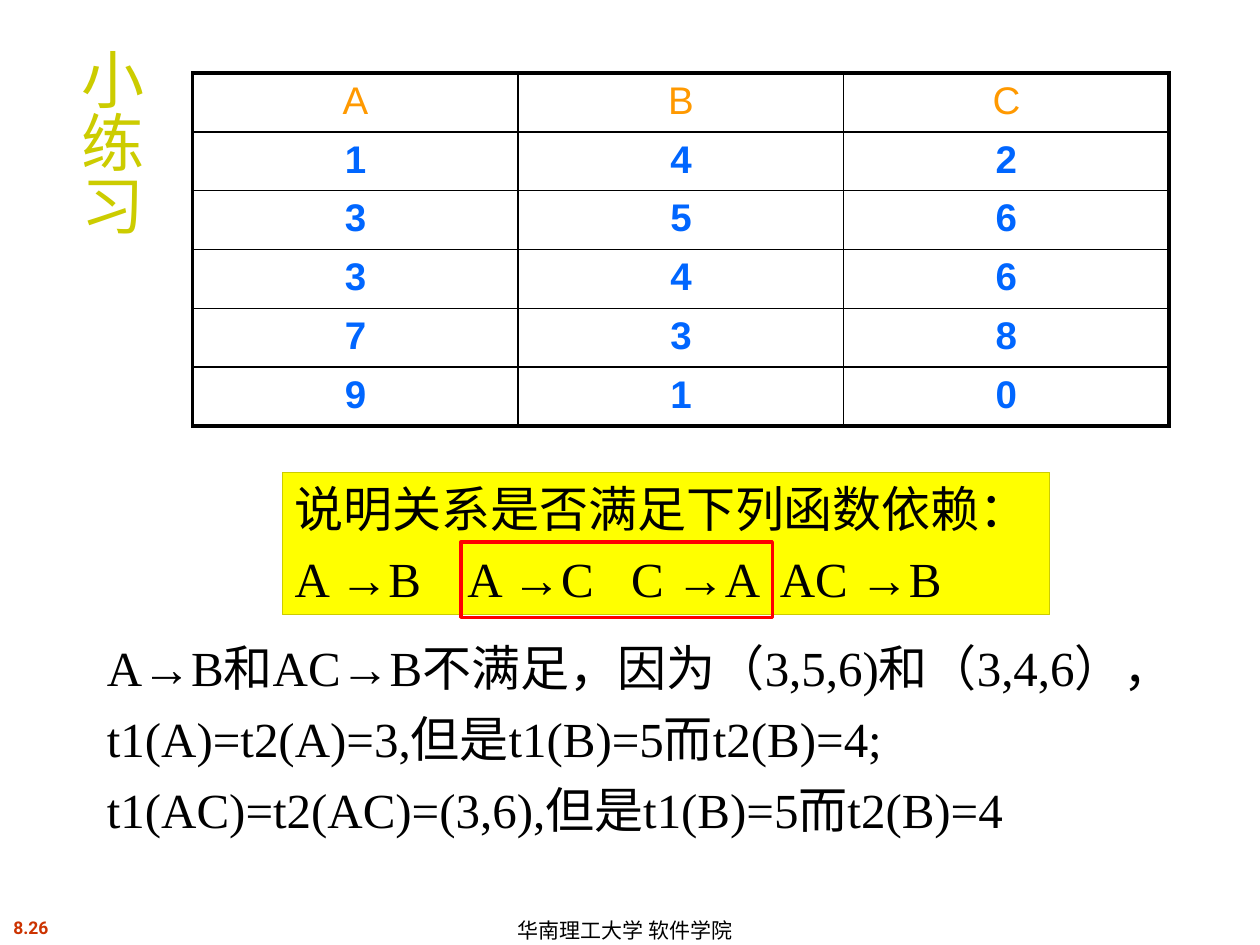
from pptx import Presentation
from pptx.dml.color import RGBColor
from pptx.enum.shapes import MSO_SHAPE
from pptx.enum.text import MSO_ANCHOR, PP_ALIGN
from pptx.oxml.ns import qn
from pptx.util import Inches, Pt
from lxml.etree import SubElement

BLACK = RGBColor(0x00, 0x00, 0x00)
ORANGE = RGBColor(0xFF, 0x99, 0x00)
BLUE = RGBColor(0x00, 0x66, 0xFF)
YELLOW = RGBColor(0xFF, 0xFF, 0x00)
OLIVE = RGBColor(0xCC, 0xCC, 0x00)
RED = RGBColor(0xFF, 0x00, 0x00)
BRICK = RGBColor(0xCC, 0x33, 0x00)

RELATION = ["ABC", "142", "356", "346", "738", "910"]


def style(p, size, name, color, bold=False):
    p.font.size, p.font.name, p.font.bold = Pt(size), name, bold
    p.font.color.rgb = color


def add_text(s, box, text, size, name, color, bold=False, wrap=True):
    tf = s.shapes.add_textbox(*map(Inches, box)).text_frame
    tf.word_wrap = wrap
    tf.text = text
    style(tf.paragraphs[0], size, name, color, bold)
    return tf


def add_rect(s, box, line, width):
    sp = s.shapes.add_shape(MSO_SHAPE.RECTANGLE, *map(Inches, box))
    sp.shadow.inherit = False
    sp.fill.background()
    sp.line.color.rgb = line
    sp.line.width = Pt(width)
    return sp


def add_border(cell, side, width):
    ln = SubElement(cell._tc.get_or_add_tcPr(), qn(f"a:{side}"), w=str(Pt(width)))
    fill = SubElement(ln, qn("a:solidFill"))
    SubElement(fill, qn("a:srgbClr"), val=str(BLACK))


def add_relation(s, box):
    rows, cols = len(RELATION), len(RELATION[0])
    table = s.shapes.add_table(rows, cols, *map(Inches, box)).table
    table.first_row = table.horz_banding = False
    for i, values in enumerate(RELATION):
        for j, value in enumerate(values):
            cell = table.cell(i, j)
            cell.text = value
            p = cell.text_frame.paragraphs[0]
            p.alignment = PP_ALIGN.CENTER
            style(p, 22, "Arial", BLUE if i else ORANGE, bold=i > 0)
            outer = {"lnL": j == 0, "lnR": j == cols - 1,
                     "lnT": i == 0, "lnB": i == rows - 1}
            for side, edge in outer.items():
                add_border(cell, side, 2.25 if edge else 1)
            cell.fill.background()


def add_question(s, box):
    sp = add_rect(s, box, OLIVE, 0.75)
    sp.fill.solid()
    sp.fill.fore_color.rgb = YELLOW
    tf = sp.text_frame
    tf.vertical_anchor = MSO_ANCHOR.TOP
    tf.text = "说明关系是否满足下列函数依赖：\nA →B\tA →C\tC →A\tAC →B"
    tabs = SubElement(tf.paragraphs[1]._p.get_or_add_pPr(), qn("a:tabLst"))
    for pos in (1.37, 2.67, 3.85):
        SubElement(tabs, qn("a:tab"), pos=str(Inches(pos)), algn="l")
    for p in tf.paragraphs:
        p.alignment = PP_ALIGN.LEFT
        style(p, 28, "Times New Roman", BLACK)
    tf.paragraphs[1].space_before = Pt(6)


def add_answer(s, box):
    tf = add_text(s, box,
                  "A→B和AC→B不满足，因为（3,5,6)和（3,4,6），"
                  "t1(A)=t2(A)=3,但是t1(B)=5而t2(B)=4; "
                  "t1(AC)=t2(AC)=(3,6),但是t1(B)=5而t2(B)=4",
                  28, "Times New Roman", BLACK)
    tf.paragraphs[0].line_spacing = 1.2


def add_title(s, box):
    tf = add_text(s, box, "小练习", 36, "Roboto", OLIVE)
    tf._txBody.bodyPr.set("vert", "eaVert")


def add_footer(s, number_box, school_box):
    number = add_text(s, number_box, "8.26", 10, "Roboto", BRICK, bold=True, wrap=False)
    number.paragraphs[0].alignment = PP_ALIGN.CENTER
    school = add_text(s, school_box, "华南理工大学 软件学院", 12, "Arial", BLACK, wrap=False)
    school.vertical_anchor = MSO_ANCHOR.MIDDLE
    school.paragraphs[0].line_spacing = 1.1


def main():
    prs = Presentation()
    prs.slide_width, prs.slide_height = Inches(10), Inches(7.5)
    s = prs.slides.add_slide(prs.slide_layouts[6])
    add_footer(s, (0, 7.23, 0.49, 0.27), (4.01, 7.25, 2.24, 0.25))
    add_relation(s, (1.53, 0.58, 7.75, 2.8))
    add_question(s, (2.24, 3.75, 6.09, 1.13))
    add_answer(s, (0.75, 4.92, 8.98, 1.74))
    add_title(s, (0.43, 0.28, 0.8, 1.89))
    add_rect(s, (3.66, 4.3, 2.47, 0.6), RED, 2)
    prs.save("out.pptx")


if __name__ == "__main__":
    main()
